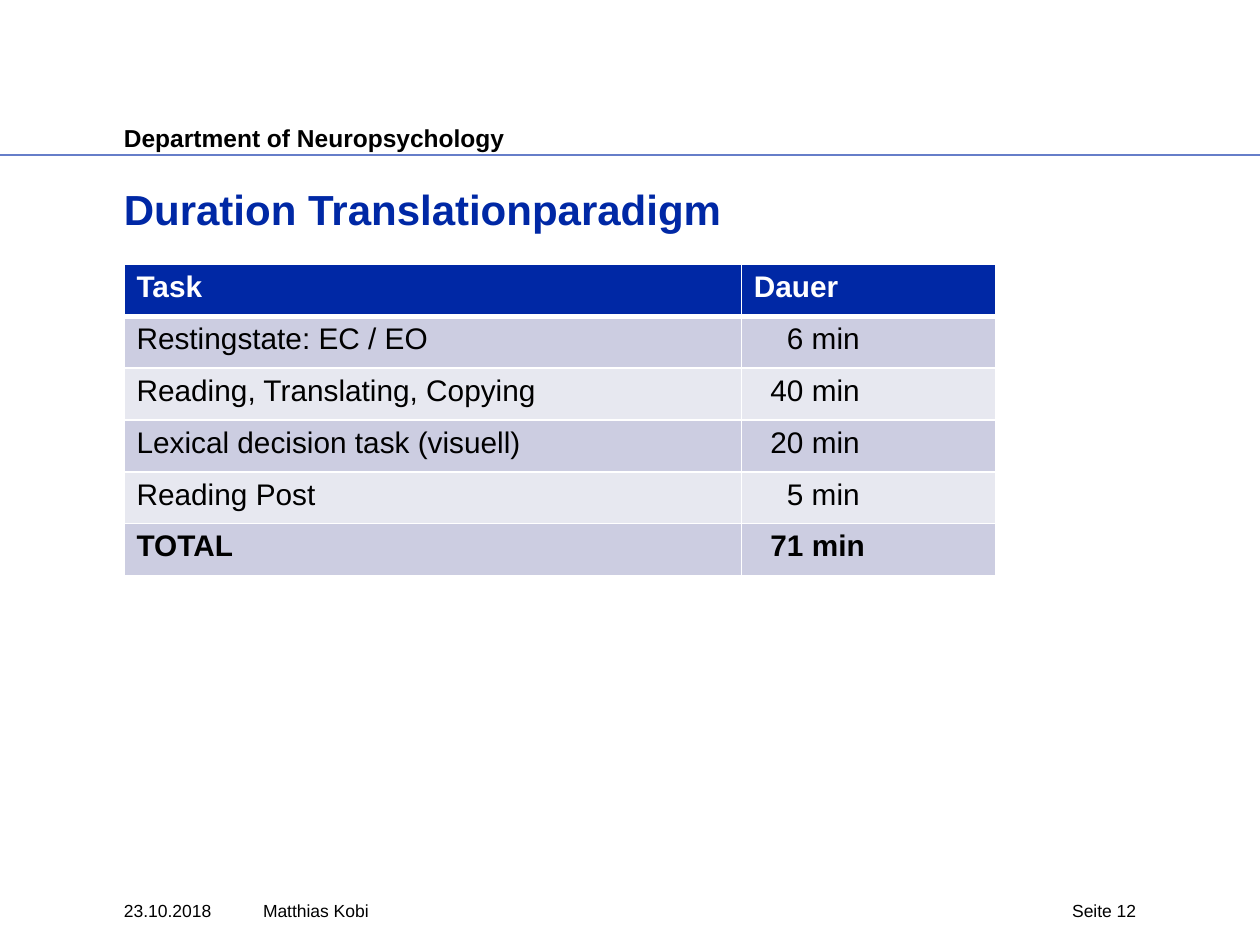
from lxml import etree
from pptx import Presentation
from pptx.dml.color import RGBColor
from pptx.enum import shapes, text
from pptx.oxml import ns
from pptx.util import Pt

COLORS = {
    "black": "000000",
    "white": "FFFFFF",
    "blue": "0028A5",
    "rule": "667EC9",
    "band_dark": "CCCDE1",
    "band_light": "E7E8F0",
}
FONT = "Arial"
LEFT = 70.8
FOOTER_TOP = 514.1
CELL_MARGIN = 7.2
DIGIT_WIDTH = 9.45

TASKS = [
    ("Task", "Dauer"),
    ("Restingstate: EC / EO", "6 min"),
    ("Reading, Translating, Copying", "40 min"),
    ("Lexical decision task (visuell)", "20 min"),
    ("Reading Post", "5 min"),
    ("TOTAL", "71 min"),
]
COL_WIDTHS = (352.8, 145.4)
ROW_HEIGHT = 29.6


def rgb(name):
    return RGBColor.from_string(COLORS[name])


def set_font(p, size, color="black", bold=False):
    p.font.name = FONT
    p.font.size = Pt(size)
    p.font.bold = bold
    p.font.color.rgb = rgb(color)


def add_text(s, box, content, size, color="black", bold=False, inset=0,
             align=text.PP_ALIGN.LEFT):
    tf = s.shapes.add_textbox(*map(Pt, box)).text_frame
    tf.word_wrap = True
    tf.margin_left = tf.margin_right = tf.margin_bottom = 0
    tf.margin_top = Pt(inset)
    p = tf.paragraphs[0]
    p.text = content
    p.alignment = align
    set_font(p, size, color, bold)


def add_rule(s, y, width):
    line = s.shapes.add_connector(
        shapes.MSO_CONNECTOR.STRAIGHT, 0, Pt(y), width, Pt(y))
    line.line.color.rgb = rgb("rule")
    line.line.width = Pt(1.25)
    etree.SubElement(line._element.spPr, ns.qn("a:effectLst"))


def set_borders(cell, widths):
    """Draw white borders, given as widths for left, right, top and bottom."""
    tc_pr = cell._tc.get_or_add_tcPr()
    for i, (side, width) in enumerate(zip("LRTB", widths)):
        ln = etree.Element(ns.qn(f"a:ln{side}"), w=str(Pt(width)))
        fill = etree.SubElement(ln, ns.qn("a:solidFill"))
        etree.SubElement(fill, ns.qn("a:srgbClr"), val=COLORS["white"])
        tc_pr.insert(i, ln)


def add_task_table(s, top):
    frame = s.shapes.add_table(
        len(TASKS), len(COL_WIDTHS), Pt(LEFT), Pt(top),
        Pt(sum(COL_WIDTHS)), Pt(ROW_HEIGHT * len(TASKS)))
    table = frame.table
    for column, width in zip(table.columns, COL_WIDTHS):
        column.width = Pt(width)
    for i, row in enumerate(TASKS):
        table.rows[i].height = Pt(ROW_HEIGHT)
        header = i == 0
        band = "blue" if header else "band_dark" if i % 2 else "band_light"
        for j, content in enumerate(row):
            cell = table.cell(i, j)
            cell.fill.solid()
            cell.fill.fore_color.rgb = rgb(band)
            set_borders(cell, (1, 1, 3 if i == 1 else 1, 3 if header else 1))
            # Durations are indented so that their units line up
            indent = DIGIT_WIDTH * (7 - len(content)) if j and not header else 0
            cell.margin_left = Pt(CELL_MARGIN + indent)
            p = cell.text_frame.paragraphs[0]
            p.text = content
            set_font(p, 17, "white" if header else "black",
                     header or i == len(TASKS) - 1)


def add_footer(s):
    for left, width, content, align in (
        (LEFT, 73.4, "23.10.2018", text.PP_ALIGN.LEFT),
        (150.3, 414, "Matthias Kobi", text.PP_ALIGN.LEFT),
        (586.6, 62.6, "Seite 12", text.PP_ALIGN.RIGHT),
    ):
        add_text(s, (left, FOOTER_TOP, width, 17.3), content, 10, align=align)


def main():
    prs = Presentation()
    prs.slide_width, prs.slide_height = Pt(720), Pt(540)
    s = prs.slides.add_slide(prs.slide_layouts[6])
    add_rule(s, 88.6, prs.slide_width)
    add_text(s, (LEFT, 67, 578.2, 18), "Department of Neuropsychology",
             14, bold=True, inset=3)
    add_text(s, (LEFT, 100, 578.2, 39.6), "Duration Translationparadigm",
             24, "blue", bold=True, inset=5)
    add_footer(s)
    add_task_table(s, 151.2)
    prs.save("out.pptx")


if __name__ == "__main__":
    main()
